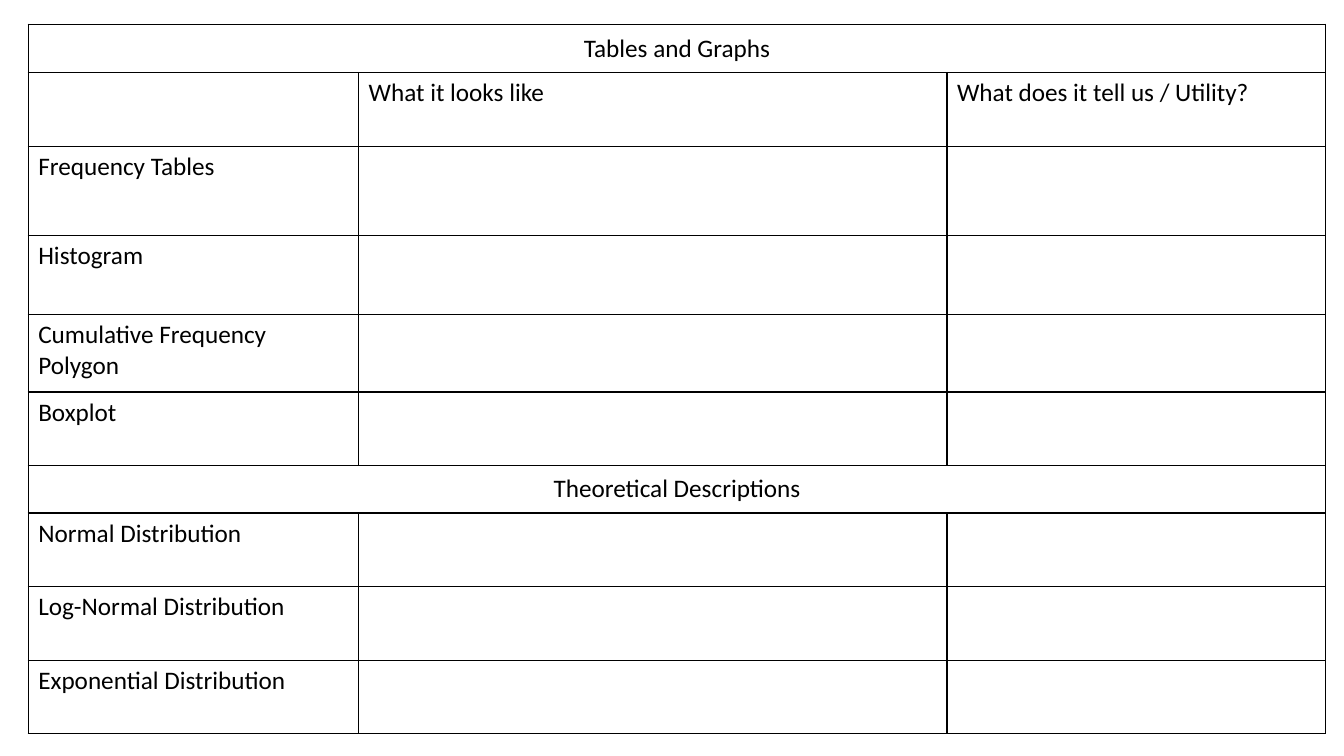
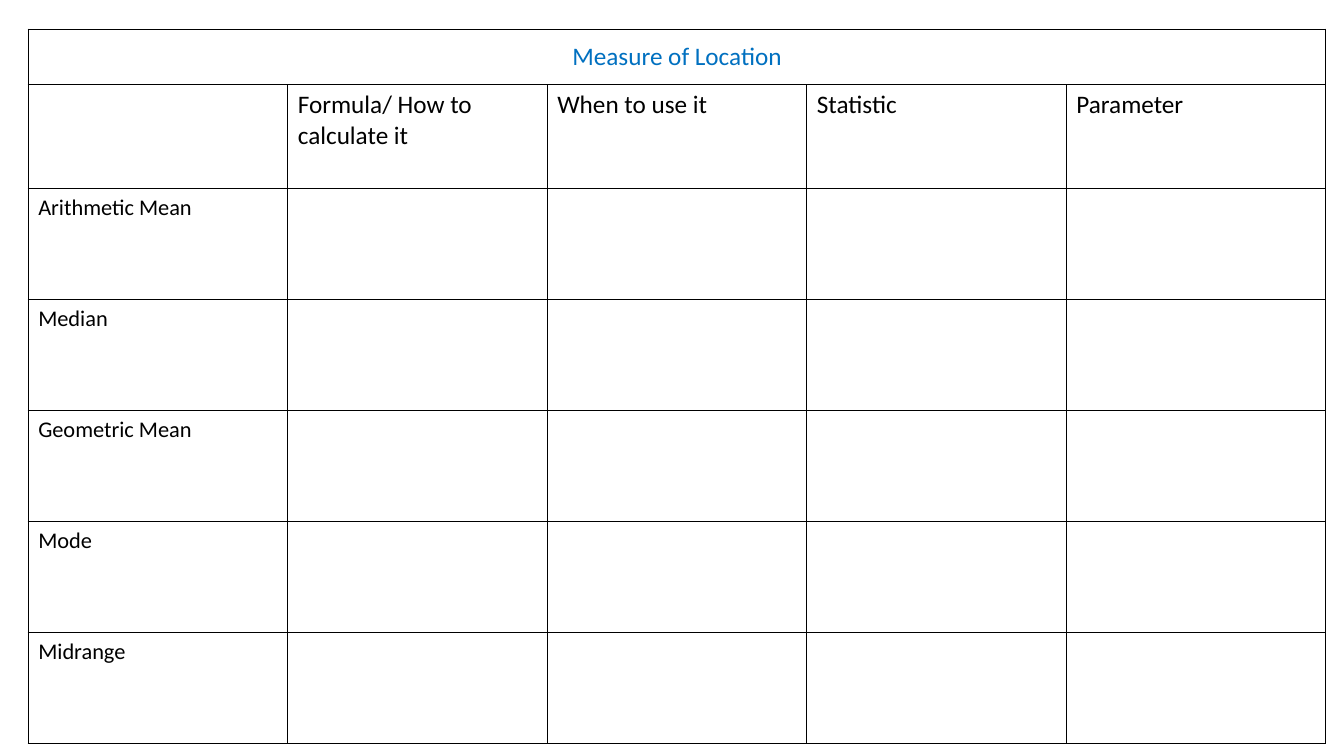
from dataclasses import dataclass

from lxml import etree
from pptx import Presentation
from pptx.dml.color import RGBColor
from pptx.enum.text import MSO_ANCHOR, PP_ALIGN
from pptx.oxml.ns import qn
from pptx.util import Inches, Pt

MIDDLE, TOP = MSO_ANCHOR.MIDDLE, MSO_ANCHOR.TOP
CENTER, LEFT = PP_ALIGN.CENTER, PP_ALIGN.LEFT
SIDES = "a:lnL", "a:lnR", "a:lnT", "a:lnB"


@dataclass(frozen=True)
class Theme:
    font: str = "Calibri"
    ink: str = "000000"
    blue: str = "0070C0"
    body: int = 18
    small: int = 16
    rule: int = 1
    left: float = 2.1
    width: float = 96.55


class Deck:
    def __init__(self, theme):
        self.theme = theme
        self.prs = Presentation()
        self.prs.slide_width, self.prs.slide_height = Inches(13.33), Inches(7.5)
        self.slide = None

    def page(self):
        self.slide = self.prs.slides.add_slide(self.prs.slide_layouts[6])

    def across(self, share):
        return round(self.prs.slide_width * share / 100)

    def down(self, share):
        return round(self.prs.slide_height * share / 100)

    def border(self, cell):
        props = cell._tc.get_or_add_tcPr()
        for side in SIDES:
            line = etree.SubElement(props, qn(side), w=str(Pt(self.theme.rule)))
            fill = etree.SubElement(line, qn("a:solidFill"))
            etree.SubElement(fill, qn("a:srgbClr"), val=self.theme.ink)

    def label(self, cell, text, size, color, align=LEFT, anchor=TOP):
        cell.vertical_anchor = anchor
        para = cell.text_frame.paragraphs[0]
        para.alignment = align
        run = para.add_run()
        run.text = text
        run.font.name = self.theme.font
        run.font.size = Pt(size)
        run.font.color.rgb = RGBColor.from_string(color)

    def table(self, top, height, cols, rows, small, accent):
        look = self.theme
        wide, high = self.across(look.width), self.down(height)
        table = self.slide.shapes.add_table(
            len(rows), len(cols), self.across(look.left), self.down(top), wide, high
        ).table
        table.first_row = table.horz_banding = False
        for col, part in zip(table.columns, cols):
            col.width = round(wide * part / sum(cols))
        total = sum(part for part, _ in rows)
        for index, (part, texts) in enumerate(rows):
            table.rows[index].height = round(high * part / total)
            cells = [table.cell(index, col) for col in range(len(cols))]
            for cell in cells:
                self.border(cell)
                cell.fill.background()
            if isinstance(texts, str):
                cells[0].merge(cells[-1])
                self.label(cells[0], texts, look.body, accent, CENTER, MIDDLE)
                continue
            size = small if texts[0] else look.body
            for cell, text in zip(cells, texts):
                if text:
                    self.label(cell, text, size, look.ink)


def main():
    theme = Theme()
    deck = Deck(theme)

    deck.page()
    graphs = [
        (0.48, "Tables and Graphs"),
        (0.73, ["", "What it looks like", "What does it tell us / Utility?"]),
        (0.89, ["Frequency Tables"]),
        (0.78, ["Histogram"]),
        (0.77, ["Cumulative Frequency Polygon"]),
        (0.73, ["Boxplot"]),
        (0.47, "Theoretical Descriptions"),
    ]
    for name in ("Normal", "Log-Normal", "Exponential"):
        graphs.append((0.73, [f"{name} Distribution"]))
    deck.table(3.2, 93.87, [3.28, 5.84, 3.76], graphs, theme.body, theme.ink)

    deck.page()
    heads = ["", "Formula/ How to calculate it", "When to use it", "Statistic", "Parameter"]
    means = [(0.55, "Measure of Location"), (1.03, heads)]
    for name in ("Arithmetic Mean", "Median", "Geometric Mean", "Mode", "Midrange"):
        means.append((1.1, [name]))
    deck.table(3.87, 94.53, [1] * len(heads), means, theme.small, theme.blue)

    deck.prs.save("out.pptx")


if __name__ == "__main__":
    main()
